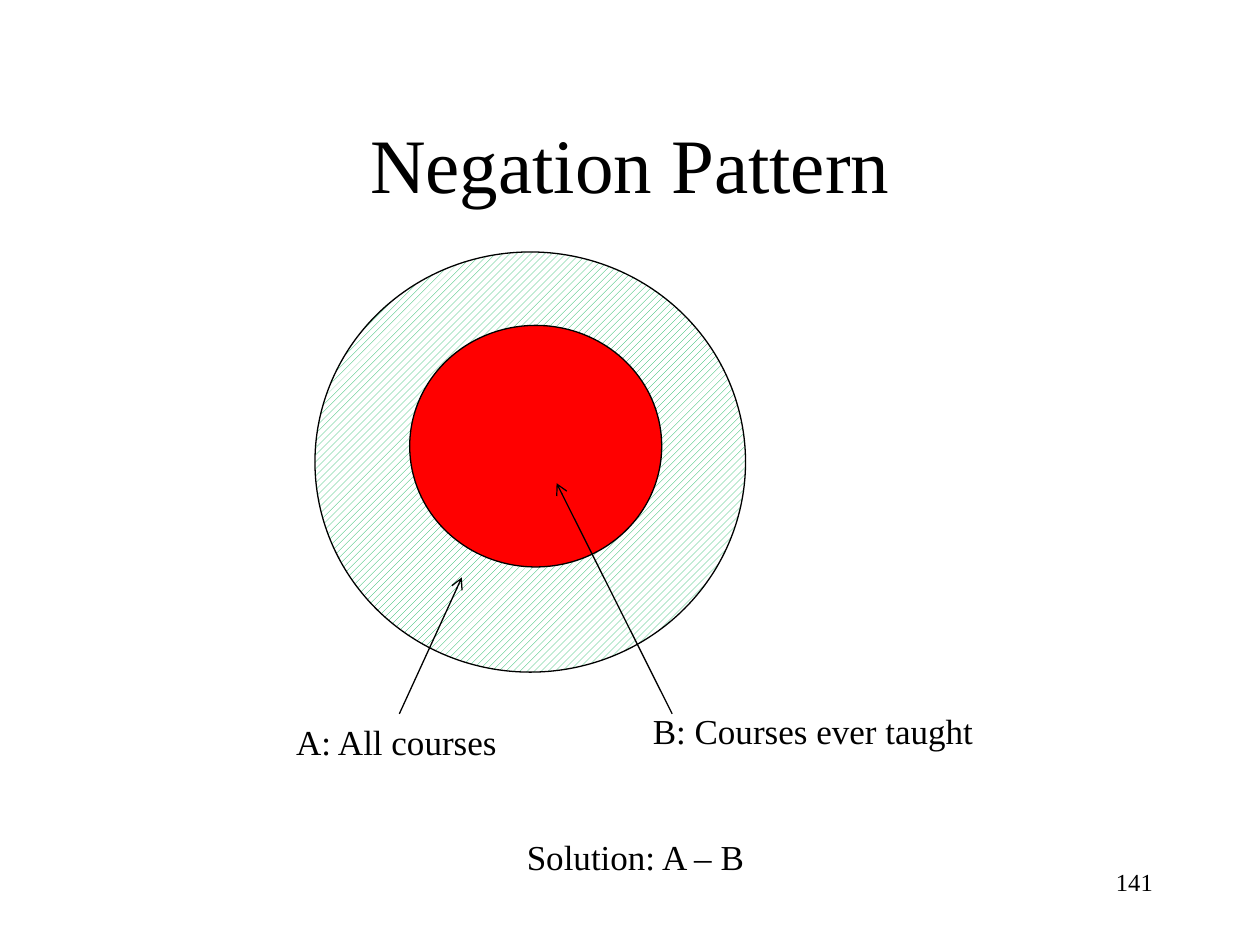
from dataclasses import dataclass

from lxml.etree import SubElement
from pptx import Presentation
from pptx.dml.color import RGBColor
from pptx.enum.dml import MSO_PATTERN
from pptx.enum.shapes import MSO_CONNECTOR, MSO_SHAPE
from pptx.enum.text import MSO_ANCHOR, PP_ALIGN
from pptx.oxml.ns import qn
from pptx.util import Cm, Pt


@dataclass(frozen=True)
class Theme:
    font: str = "Times New Roman"
    ink: RGBColor = RGBColor(0, 0, 0)
    paper: RGBColor = RGBColor(255, 255, 255)
    hatch: RGBColor = RGBColor(0x00, 0xB0, 0x50)
    inner: RGBColor = RGBColor(255, 0, 0)
    title: Pt = Pt(44)
    label: Pt = Pt(20)
    number: Pt = Pt(14)
    line: Pt = Pt(0.75)


THEME = Theme()


def add_text(s, text, box, size, align=PP_ALIGN.LEFT, anchor=MSO_ANCHOR.TOP, wrap=True):
    tf = s.shapes.add_textbox(*map(Cm, box)).text_frame
    tf.word_wrap = wrap
    tf.vertical_anchor = anchor
    p = tf.paragraphs[0]
    p.alignment = align
    r = p.add_run()
    r.text = text
    r.font.name = THEME.font
    r.font.size = size
    r.font.color.rgb = THEME.ink


def set_line(line):
    line.color.rgb = THEME.ink
    line.width = THEME.line


def add_ellipse(s, box):
    sp = s.shapes.add_shape(MSO_SHAPE.OVAL, *map(Cm, box))
    sp.shadow.inherit = False
    set_line(sp.line)
    return sp


def add_hatched_ellipse(s, box):
    fill = add_ellipse(s, box).fill
    fill.patterned()
    fill.pattern = MSO_PATTERN.WIDE_UPWARD_DIAGONAL
    fill.fore_color.rgb = THEME.hatch
    fill.back_color.rgb = THEME.paper


def add_solid_ellipse(s, box):
    fill = add_ellipse(s, box).fill
    fill.solid()
    fill.fore_color.rgb = THEME.inner


def add_arrow(s, start, end):
    cx = s.shapes.add_connector(MSO_CONNECTOR.STRAIGHT, *map(Cm, start + end))
    set_line(cx.line)
    SubElement(cx.line._get_or_add_ln(), qn("a:tailEnd"), type="arrow")
    SubElement(cx._element.spPr, qn("a:effectLst"))


def main():
    prs = Presentation()
    prs.slide_width, prs.slide_height = Cm(25.4), Cm(19.05)
    s = prs.slides.add_slide(prs.slide_layouts[6])

    add_text(s, "Negation Pattern", (1.91, 1.69, 21.59, 3.18), THEME.title,
             PP_ALIGN.CENTER, MSO_ANCHOR.MIDDLE)
    add_hatched_ellipse(s, (6.35, 5.08, 8.68, 8.47))
    add_solid_ellipse(s, (8.26, 6.56, 5.08, 4.87))

    for text, box in (
        ("A: All courses", (5.72, 14.39, 4.57, 1.11)),
        ("B: Courses ever taught", (12.91, 14.18, 7.01, 1.11)),
        ("Solution: A – B", (10.37, 16.72, 5.1, 1.11)),
    ):
        add_text(s, text, box, THEME.label, wrap=False)

    add_arrow(s, (8.05, 14.39), (9.31, 11.64))
    add_arrow(s, (13.55, 14.39), (11.22, 9.74))
    add_text(s, "141", (18.2, 17.36, 5.29, 1.27), THEME.number, PP_ALIGN.RIGHT)

    prs.save("out.pptx")


if __name__ == "__main__":
    main()
